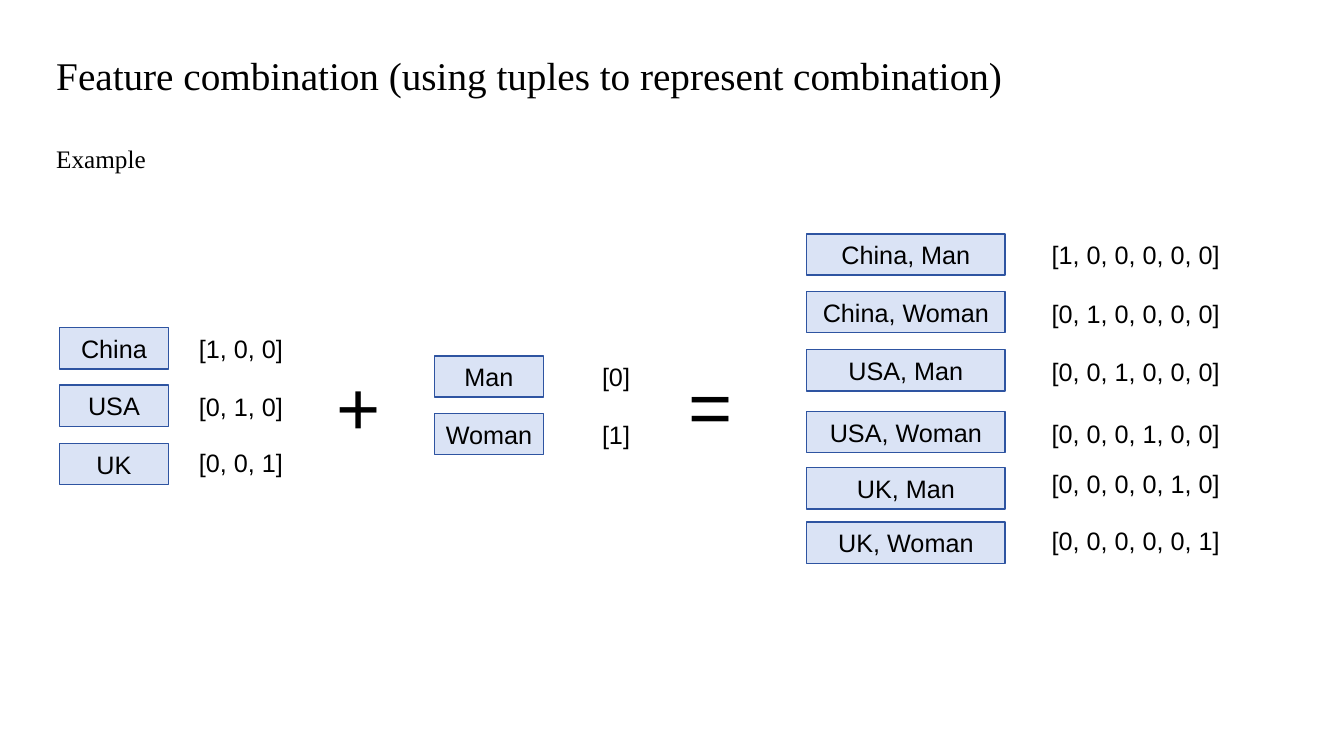
"""Build a slide that shows feature combination with one-hot tuples."""
from dataclasses import dataclass
from itertools import product

from pptx import Presentation
from pptx.dml.color import RGBColor
from pptx.enum.shapes import MSO_SHAPE
from pptx.enum.text import MSO_ANCHOR, PP_ALIGN
from pptx.util import Inches, Pt


@dataclass(frozen=True)
class Theme:
    text: RGBColor = RGBColor(0, 0, 0)
    box_fill: RGBColor = RGBColor(0xDA, 0xE3, 0xF5)
    box_line: RGBColor = RGBColor(0x2E, 0x54, 0xA1)
    heading_font: str = "Times New Roman"
    body_font: str = "Arial"
    title_size: int = 28
    body_size: int = 18
    operator_size: int = 54


theme = Theme()
presentation = Presentation()
presentation.slide_width = Inches(13.33)
presentation.slide_height = Inches(7.5)
slide = presentation.slides.add_slide(presentation.slide_layouts[6])


def write(shape, text, size=theme.body_size, font=theme.body_font, align=PP_ALIGN.CENTER):
    shape.text_frame.word_wrap = True
    paragraph = shape.text_frame.paragraphs[0]
    paragraph.alignment = align
    run = paragraph.add_run()
    run.text = text
    run.font.size = Pt(size)
    run.font.name = font
    run.font.color.rgb = theme.text


def one_hot(count):
    return [str([int(row == column) for column in range(count)]) for row in range(count)]


headings = [
    (0.46, 0.46, 9.8, 0.57, "Feature combination (using tuples to represent combination)",
     theme.title_size, theme.heading_font),
    (0.46, 1.37, 2.2, 0.4, "Example", theme.body_size, theme.heading_font),
    (3.24, 3.52, 4.44, 1.01, "+", theme.operator_size, theme.body_font),
    (6.73, 3.51, 4.44, 1.01, "=", theme.operator_size, theme.body_font),
]
for left, top, width, height, text, size, font in headings:
    text_box = slide.shapes.add_textbox(Inches(left), Inches(top), Inches(width), Inches(height))
    write(text_box, text, size, font, PP_ALIGN.LEFT)

countries = ["China", "USA", "UK"]
genders = ["Man", "Woman"]
combinations = [", ".join(pair) for pair in product(countries, genders)]

groups = [
    (countries, one_hot(3), 0.59, 1.08, 1.87, 1.04,
     [3.25, 3.82, 4.4], [3.26, 3.83, 4.39]),
    (genders, ["[0]", "[1]"], 4.31, 1.08, 5.59, 1.04,
     [3.53, 4.1], [3.54, 4.11]),
    (combinations, one_hot(6), 8, 1.97, 10.1, 2.33,
     [2.32, 2.89, 3.47, 4.08, 4.64, 5.18], [2.33, 2.91, 3.49, 4.1, 4.6, 5.16]),
]
for labels, vectors, box_left, box_width, vector_left, vector_width, box_tops, vector_tops in groups:
    for label, vector, box_top, vector_top in zip(labels, vectors, box_tops, vector_tops):
        box = slide.shapes.add_shape(MSO_SHAPE.RECTANGLE, Inches(box_left), Inches(box_top),
                                     Inches(box_width), Inches(0.41))
        box.shadow.inherit = False
        box.fill.solid()
        box.fill.fore_color.rgb = theme.box_fill
        box.line.color.rgb = theme.box_line
        box.line.width = Pt(1)
        box.text_frame.vertical_anchor = MSO_ANCHOR.MIDDLE
        write(box, label)
        vector_box = slide.shapes.add_textbox(Inches(vector_left), Inches(vector_top),
                                              Inches(vector_width), Inches(0.4))
        write(vector_box, vector)

presentation.save("out.pptx")
